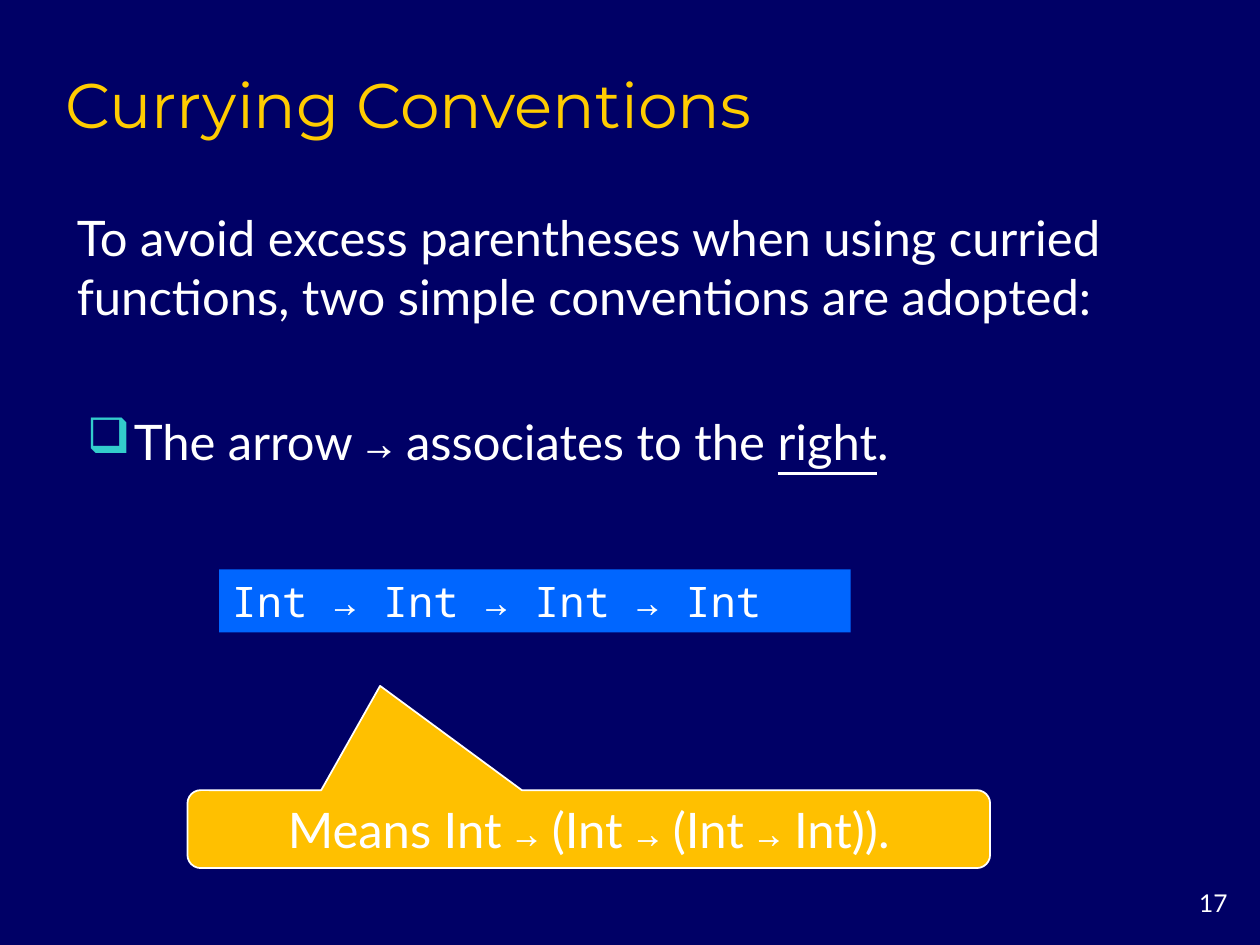
import pptx
import pptx.util
import pptx.dml.color
import pptx.enum.shapes
import pptx.enum.text
import pptx.oxml
import pptx.oxml.ns
import lxml.etree

Cm = pptx.util.Cm
Pt = pptx.util.Pt
ALIGN = pptx.enum.text.PP_ALIGN
ANCHOR = pptx.enum.text.MSO_ANCHOR
SHAPE = pptx.enum.shapes.MSO_SHAPE
SANS, MONO, HEADING = "Lato", "Noto Sans Mono", "Montserrat"
ARROW = "→"


def rgb(value):
    return pptx.dml.color.RGBColor.from_string(value)


def add_run(p, text, size, font=SANS, color="FFFFFF", underline=None):
    r = p.add_run()
    r.text = text
    r.font.size = Pt(size)
    r.font.name = font
    r.font.color.rgb = rgb(color)
    r.font.underline = underline


def add_arrow_text(p, text, size, arrow_size):
    for i, part in enumerate(text.split(ARROW)):
        if i:
            add_run(p, ARROW, arrow_size, MONO)
        add_run(p, part, size)


def first_paragraph(sp, anchor, align=ALIGN.LEFT, wrap=True):
    tf = sp.text_frame
    tf.word_wrap = wrap
    tf.vertical_anchor = anchor
    p = tf.paragraphs[0]
    p.alignment = align
    return p


def add_text(s, box, anchor=ANCHOR.TOP, align=ALIGN.LEFT):
    sp = s.shapes.add_textbox(*map(Cm, box))
    return first_paragraph(sp, anchor, align)


def add_box(s, kind, box, fill, line=None):
    sp = s.shapes.add_shape(kind, *map(Cm, box))
    sp.shadow.inherit = False
    sp.fill.solid()
    sp.fill.fore_color.rgb = rgb(fill)
    if line:
        sp.line.color.rgb = rgb(line)
        sp.line.width = Pt(1)
    else:
        sp.line.fill.background()
    return sp


def set_bullet(p, char, color, indent):
    pPr = p._p.get_or_add_pPr()
    pPr.set("marL", str(Cm(indent)))
    pPr.set("indent", str(-Cm(indent)))
    qn = pptx.oxml.ns.qn
    buClr = lxml.etree.SubElement(pPr, qn("a:buClr"))
    lxml.etree.SubElement(buClr, qn("a:srgbClr")).set("val", color)
    lxml.etree.SubElement(pPr, qn("a:buChar")).set("char", char)


def main():
    prs = pptx.Presentation()
    prs.slide_width, prs.slide_height = Cm(25.4), Cm(19.05)
    s = prs.slides.add_slide(prs.slide_layouts[6])
    s.background.fill.solid()
    s.background.fill.fore_color.rgb = rgb("000066")

    number = add_text(s, (23.3, 17.78, 1.7, 0.84), align=ALIGN.RIGHT)
    add_run(number, "17", 14)

    title = add_text(s, (1.07, 1.07, 21.59, 1.9), ANCHOR.BOTTOM)
    add_run(title, "Currying Conventions", 36, HEADING, "FFCC00")

    rule = add_text(s, (1.5, 8.18, 20.52, 1.78))
    rule.space_before = Pt(5.6)
    set_bullet(rule, "❑", "33CCCC", 0.95)
    add_arrow_text(rule, "The arrow → associates to the ", 28, 28)
    add_run(rule, "right", 28, underline=True)
    add_run(rule, ".", 28)

    code = add_box(s, SHAPE.RECTANGLE, (4.42, 11.48, 12.73, 1.27), "0066FF")
    p = first_paragraph(code, ANCHOR.MIDDLE, wrap=False)
    add_run(p, "Int → Int → Int → Int ", 24, MONO)

    intro = add_text(s, (1.3, 4.06, 23.29, 2.62), ANCHOR.MIDDLE)
    add_run(intro, "To avoid excess parentheses when using curried functions, "
            "two simple conventions are adopted:", 28)

    callout = add_box(s, SHAPE.ROUNDED_RECTANGULAR_CALLOUT,
                      (3.78, 15.93, 16.18, 1.57), "FFC000", "FFFFFF")
    for i, value in enumerate((-0.26, -1.84, 0.17)):
        callout.adjustments[i] = value
    p = first_paragraph(callout, ANCHOR.MIDDLE, ALIGN.CENTER)
    add_arrow_text(p, "Means Int → (Int → (Int → Int)).", 28, 24)

    prs.save("out.pptx")


main()
